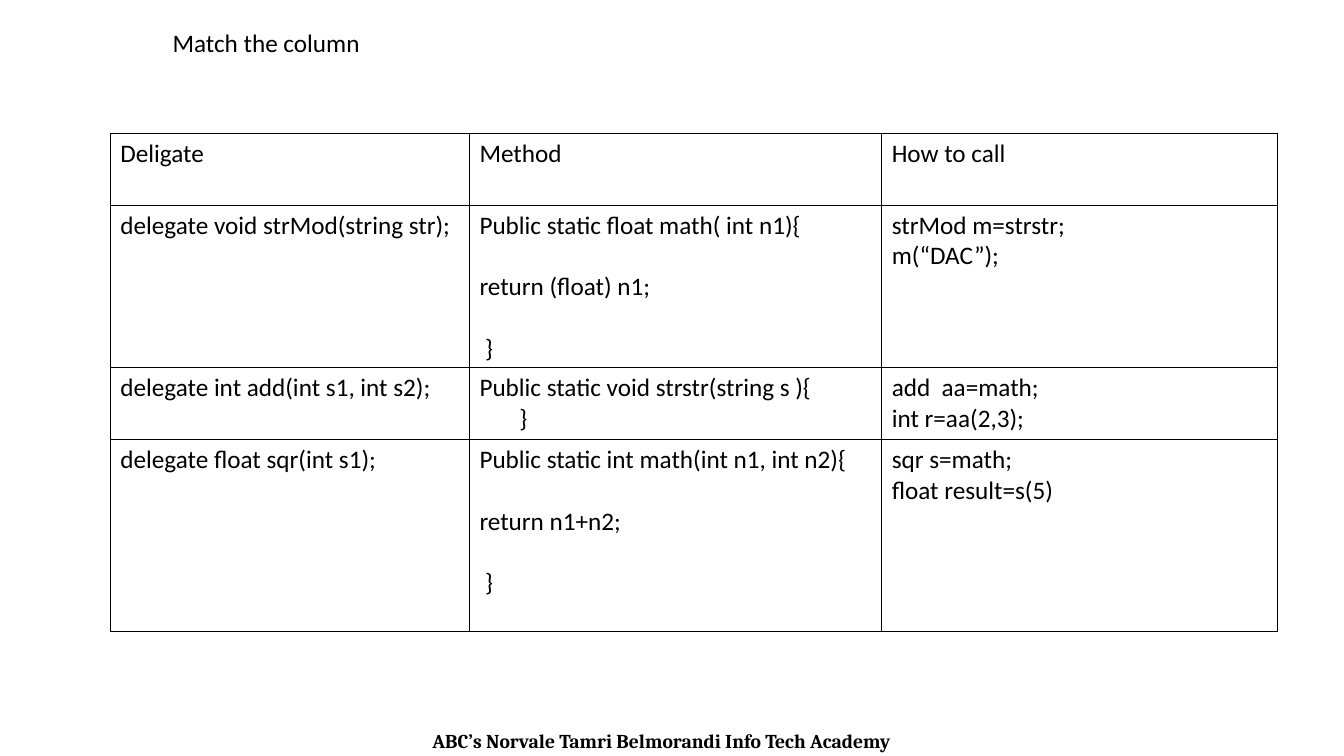
"""Build the slide that matches delegates with methods and calls."""
from pptx import Presentation, util as u
from pptx.dml.color import RGBColor
from pptx.enum import text
from pptx.oxml import parse_xml
from pptx.oxml.ns import nsdecls

COLOURS = {"ink": "000000"}
BLANK_LINE = 22


def add_line(paragraph, words, size=18, font="Calibri", bold=False):
    run = paragraph.add_run()
    run.text = words
    run.font.size = u.Pt(size)
    run.font.name = font
    run.font.bold = bold
    run.font.color.rgb = RGBColor.from_string(COLOURS["ink"])


def add_label(slide, left, top, width, height):
    label = slide.shapes.add_textbox(u.Cm(left), u.Cm(top), u.Cm(width), u.Cm(height))
    label.text_frame.word_wrap = True
    return label.text_frame.paragraphs[0]


presentation = Presentation()
presentation.slide_width = u.Cm(33.87)
presentation.slide_height = u.Cm(19.05)
slide = presentation.slides.add_slide(presentation.slide_layouts[6])

footer = add_label(slide, -0.26, 18.24, 33.87, 0.86)
footer.alignment = text.PP_ALIGN.CENTER
add_line(footer, "ABC’s Norvale Tamri Belmorandi Info Tech Academy", 14, "Cambria", True)

column_widths = [9.05, 10.39, 9.98]
row_heights = [1.81, 4.06, 1.81, 4.83]
rows = [
    ["Deligate", "Method", "How to call"],
    [
        "delegate void strMod(string str);",
        "Public static float math( int n1){\n\nreturn (float) n1;\n\n }",
        "strMod m=strstr;\nm(“DAC”);",
    ],
    [
        "delegate int add(int s1, int s2);",
        "Public static void strstr(string s ){\n       }",
        "add  aa=math;\nint r=aa(2,3);",
    ],
    [
        "delegate float sqr(int s1);",
        "Public static int math(int n1, int n2){\n\nreturn n1+n2;\n\n }",
        "sqr s=math;\nfloat result=s(5)",
    ],
]

table = slide.shapes.add_table(
    len(rows), len(column_widths), u.Cm(2.78), u.Cm(3.36),
    u.Cm(sum(column_widths)), u.Cm(sum(row_heights)),
).table
table.first_row = False
table.horz_banding = False
for column, width in zip(table.columns, column_widths):
    column.width = u.Cm(width)

for row, height, entries in zip(table.rows, row_heights, rows):
    row.height = u.Cm(height)
    for cell, entry in zip(row.cells, entries):
        properties = cell._tc.get_or_add_tcPr()
        for side in ("lnL", "lnR", "lnT", "lnB"):
            properties.append(parse_xml(
                f'<a:{side} {nsdecls("a")} w="12700"><a:solidFill>'
                f'<a:srgbClr val="{COLOURS["ink"]}"/></a:solidFill></a:{side}>'
            ))
        cell.fill.background()
        frame = cell.text_frame
        for block_number, block in enumerate(entry.split("\n\n")):
            for line_number, line in enumerate(block.split("\n")):
                first = block_number == line_number == 0
                paragraph = frame.paragraphs[0] if first else frame.add_paragraph()
                if block_number and line_number == 0:
                    paragraph.space_before = u.Pt(BLANK_LINE)
                add_line(paragraph, line)

title = add_label(slide, 4.1, 0.56, 25.65, 1.02)
add_line(title, "Match the column")

presentation.save("out.pptx")
